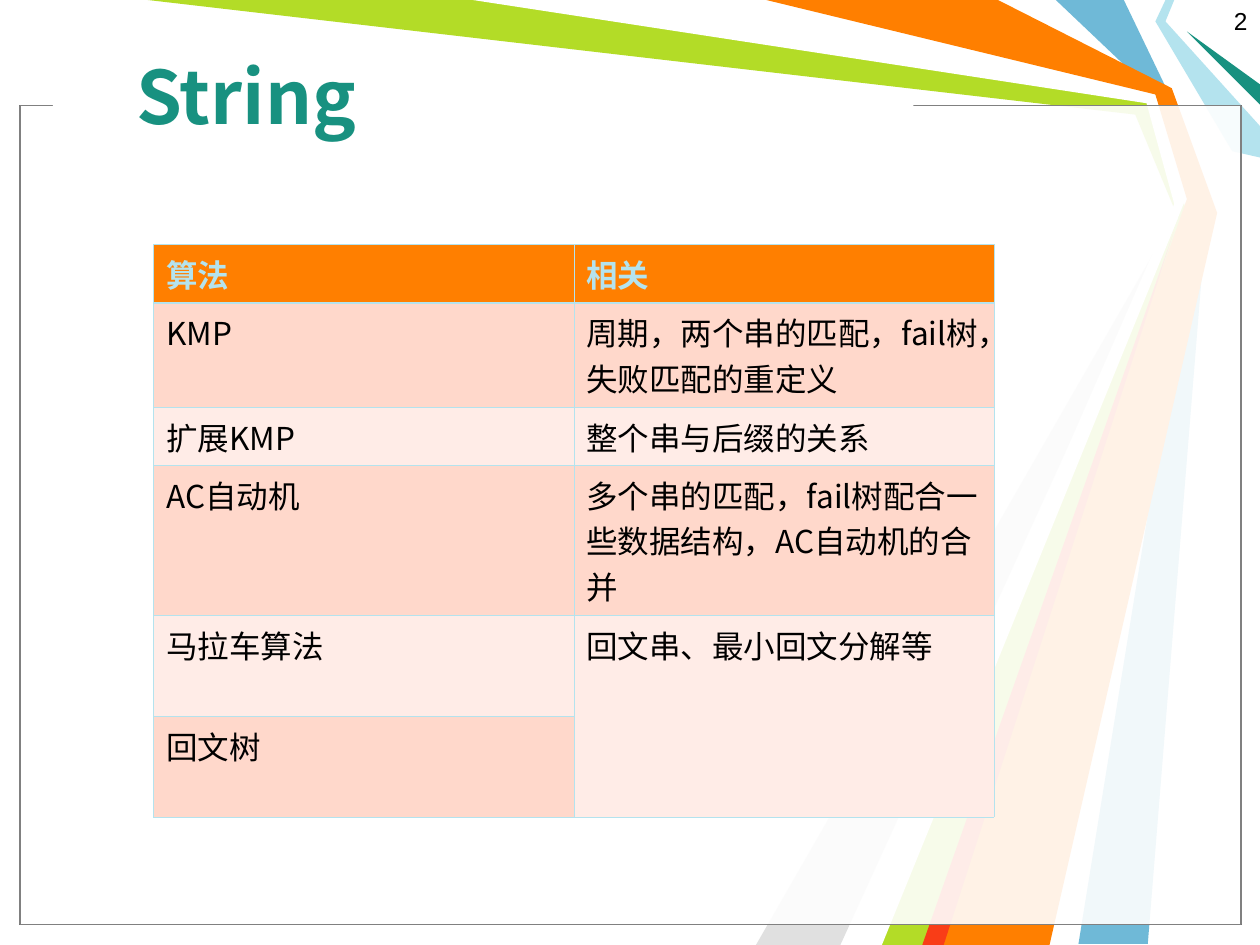
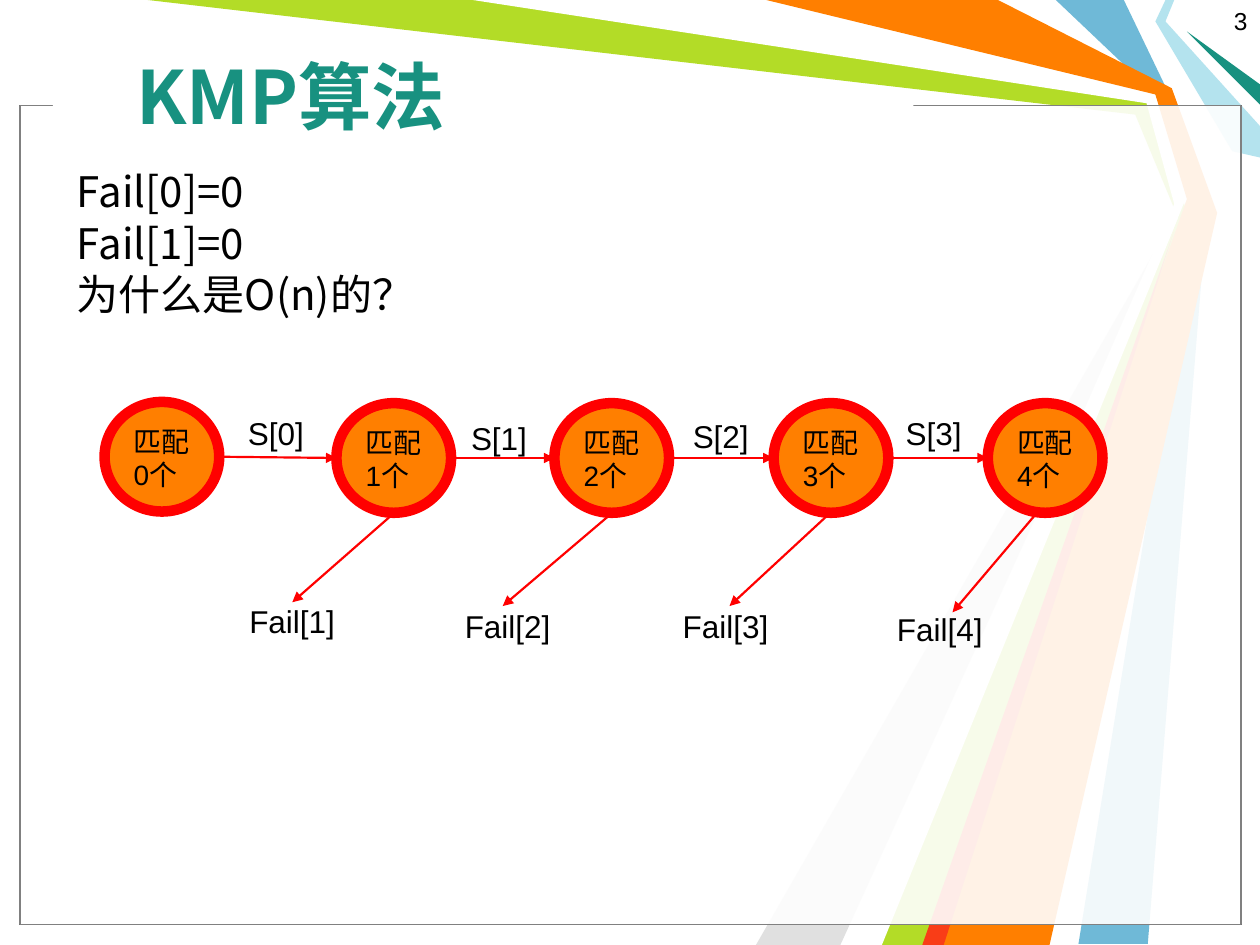
from collections import namedtuple

import pptx
import pptx.dml.color
import pptx.enum.shapes
import pptx.enum.text
import pptx.oxml
import pptx.oxml.ns
import pptx.util

RGBColor = pptx.dml.color.RGBColor
Anchor = pptx.enum.text.MSO_ANCHOR
Align = pptx.enum.text.PP_ALIGN
Shape = pptx.enum.shapes.MSO_SHAPE
Box = namedtuple("Box", "left top width height")

BLACK = RGBColor(0x00, 0x00, 0x00)
WHITE = RGBColor(0xFF, 0xFF, 0xFF)
GREY = RGBColor(0x80, 0x80, 0x80)
SILVER = RGBColor(0xE0, 0xE0, 0xE0)
BLUE = RGBColor(0x6F, 0xB9, 0xD7)
ICE = RGBColor(0xB4, 0xE3, 0xEE)
LIME = RGBColor(0xB3, 0xDC, 0x27)
TEAL = RGBColor(0x18, 0x91, 0x80)
ORANGE = RGBColor(0xFF, 0x7F, 0x00)
SCARLET = RGBColor(0xF9, 0x3D, 0x17)
RED = RGBColor(0xFF, 0x00, 0x00)
ROW_BANDS = RGBColor(0xFF, 0xEC, 0xE7), RGBColor(0xFF, 0xD8, 0xCB)

SANS = "Noto Sans CJK SC"
ARIAL = "Arial"

# The slide is a grid of 100 columns by 75 rows of square cells.
COLUMNS, ROWS = 100, 75
CELL = pptx.util.Inches(0.1)

PAGE = Box(0, 0, COLUMNS, ROWS)
TITLE = Box(9.8, 1.3, 74, 12.5)
BODY = Box(5.1, 13.1, 92.1, 54.2)
NUMBER = Box(76.7, 0, 23.3, 5.2)
FRAME = Box(1.6, 8.4, 96.9, 65)
TITLE_GAP = Box(4.2, 7.4, 68.3, 1.7)
TABLE = Box(12.2, 19.4, 66.7, 45.4)
CHAIN = Box(8.3, 31.9, 79.2, 20)

RIBBONS = [
    (BLUE, [(89.2, 0), (92.9, 7.7), (95.8, 16.7), (91.1, 74.9), (85.6, 74.9),
            (95, 16.7), (91.7, 7.5), (83.8, 0)]),
    (LIME, [(11.7, 0), (38.3, 0), (91.4, 7.8), (94.2, 16.9), (74.2, 75),
            (69.2, 75), (93.5, 17.3), (90.1, 9.1)]),
    (SILVER, [(66.7, 75), (92.7, 18.1), (60, 75)]),
    (WHITE, [(37.5, 0), (91, 8.2), (93.2, 16.2), (67.5, 75), (70, 75),
             (94.1, 15.8), (91.7, 7.5), (60, 0)]),
    (ICE, [(92.5, 0), (91.7, 1.7), (97.8, 12), (100, 12.5), (100, 10),
           (92.5, 1.7), (93.2, 0)]),
    (TEAL, [(100, 8.3), (94.2, 2.5), (100, 6.7)]),
    (ORANGE, [(60.8, 0), (79.2, 0), (93, 7), (96.6, 16.9), (83.3, 75),
              (73.3, 75), (94.2, 15.8), (91.7, 7.5)]),
    (SCARLET, [(73.2, 75), (93.2, 18.3), (74.9, 75)]),
]

ALGORITHMS = [
    ("算法", "相关"),
    ("KMP", "周期，两个串的匹配，fail树，失败匹配的重定义"),
    ("扩展KMP", "整个串与后缀的关系"),
    ("AC自动机", "多个串的匹配，fail树配合一些数据结构，AC自动机的合并"),
    ("马拉车算法", "回文串、最小回文分解等"),
    ("回文树", ""),
]
ROW_HEIGHTS = [4.6, 8.3, 4.6, 11.9, 8, 8]

# Places inside the chain, in cells from its top left corner.
STATE_SIZE = (9.1, 8.7)
STATES = [(0, 0), (18.4, 0.1), (35.7, 0.1), (53.1, 0.1), (70.1, 0.1)]
STEP_LABELS = [(10.4, 0.5), (28.1, 0.9), (45.7, 0.7), (62.6, 0.5)]
FAIL_LABELS = [(10.5, 15.4), (27.6, 15.8), (44.9, 15.8), (61.9, 16)]
FAIL_TIPS = [(14.9, 15.9), (31.6, 16.2), (49.6, 16.2), (67.3, 16.7)]
FAIL_STARTS = [23, 40.3, 57.6, 74]


def cells(*counts):
    return [pptx.util.Emu(round(count * CELL)) for count in counts]


def add_xml(parent, tag, **attributes):
    child = pptx.oxml.parse_xml(f"<a:{tag} {pptx.oxml.ns.nsdecls('a')}/>")
    for name, value in attributes.items():
        child.set(name, str(value))
    parent.append(child)
    return child


def write(frame, text, size=18, font=ARIAL, color=BLACK, bold=False,
          align=Align.LEFT, anchor=Anchor.TOP, wrap=True,
          line_spacing=None, space_before=0, hanging=0):
    """Fill a text frame, one paragraph for each line of text."""
    frame.word_wrap = wrap
    frame.auto_size = pptx.enum.text.MSO_AUTO_SIZE.NONE
    frame.vertical_anchor = anchor
    for index, line in enumerate(text.split("\n")):
        para = frame.add_paragraph() if index else frame.paragraphs[0]
        if hanging:
            indent, = cells(hanging)
            properties = para._p.get_or_add_pPr()
            properties.set("marL", str(indent))
            properties.set("indent", str(-indent))
            add_xml(properties, "buNone")
        para.alignment = align
        para.line_spacing = line_spacing
        para.space_before = pptx.util.Pt(space_before if index else 0)
        span = para.add_run()
        span.text = line
        span.font.size = pptx.util.Pt(size)
        span.font.bold = bold
        span.font.color.rgb = color
        span.font.name = font
        add_xml(span.font._element, "ea", typeface=SANS)


def paint(shape, fill, line=None, width=0.75, opacity=100):
    shape.shadow.inherit = False
    shape.fill.solid()
    shape.fill.fore_color.rgb = fill
    if opacity < 100:
        color = shape.element.spPr.find(".//" + pptx.oxml.ns.qn("a:srgbClr"))
        add_xml(color, "alpha", val=opacity * 1000)
    if line is None:
        shape.line.fill.background()
    else:
        shape.line.color.rgb = line
        shape.line.width = pptx.util.Pt(width)
    return shape


def add_label(page, box, text, **style):
    label = page.shapes.add_textbox(*cells(*box))
    write(label.text_frame, text, **style)


def add_arrow(page, start, end):
    arrow = page.shapes.add_connector(
        pptx.enum.shapes.MSO_CONNECTOR.STRAIGHT, *cells(*start, *end))
    arrow.line.color.rgb = RED
    arrow.line.width = pptx.util.Pt(1.25)
    add_xml(arrow.line._get_or_add_ln(), "tailEnd", type="triangle")
    add_xml(arrow.element.spPr, "effectLst")


def draw_backdrop(page, box):
    """Draw the ribbons and the frame; return their shapes from back to front."""
    parts = []
    for color, outline in RIBBONS:
        points = [cells(box.left + x, box.top + y) for x, y in outline]
        builder = page.shapes.build_freeform(*points[0])
        builder.add_line_segments(points[1:], close=True)
        parts.append(paint(builder.convert_to_shape(), color))
    for line in (BLACK, GREY):
        frame = page.shapes.add_shape(Shape.RECTANGLE, *cells(*FRAME))
        parts.append(paint(frame, WHITE, line, opacity=69))
    gap = page.shapes.add_shape(Shape.RECTANGLE, *cells(*TITLE_GAP))
    return parts + [paint(gap, WHITE)]


def share_backdrop(deck, page):
    """Move the backdrop to the master, so that every slide shows it."""
    tree = deck.slide_master.element.cSld.spTree
    for number, part in enumerate(draw_backdrop(page, PAGE), start=100):
        part.element.xpath(".//p:cNvPr")[0].set("id", str(number))
        tree.append(part.element)


def place(shape, box):
    shape.left, shape.top, shape.width, shape.height = cells(*box)


def add_page(deck, layout, title, number):
    page = deck.slides.add_slide(deck.slide_layouts.get_by_name(layout))
    place(page.shapes.title, TITLE)
    write(page.shapes.title.text_frame, title, size=42, font=SANS,
          color=TEAL, bold=True, anchor=Anchor.MIDDLE)
    add_label(page, NUMBER, str(number), size=14, align=Align.RIGHT)
    return page


def set_borders(cell, top, bottom):
    properties = cell._tc.get_or_add_tcPr()
    fill = properties[0]
    for side, width in (("L", 0.45), ("R", 0.45), ("T", top), ("B", bottom)):
        line = add_xml(properties, "ln" + side, w=pptx.util.Pt(width))
        add_xml(add_xml(line, "solidFill"), "srgbClr", val=ICE)
    properties.append(fill)


def add_algorithm_table(page, box):
    table = page.shapes.add_table(
        len(ALGORITHMS), len(ALGORITHMS[0]), *cells(*box)).table
    for column in table.columns:
        column.width, = cells(box.width / len(table.columns))
    for index, (texts, height) in enumerate(zip(ALGORITHMS, ROW_HEIGHTS)):
        table.rows[index].height, = cells(height)
        header = index == 0
        for cell, text in zip(table.rows[index].cells, texts):
            cell.fill.solid()
            cell.fill.fore_color.rgb = ORANGE if header else ROW_BANDS[index % 2]
            set_borders(cell, top=1.47 if index == 1 else 0.45,
                        bottom=1.47 if header else 0.45)
            if text:
                write(cell.text_frame, text, font=SANS, bold=header,
                      color=ICE if header else BLACK)
    table.cell(4, 1).merge(table.cell(5, 1))


def add_state_chain(page, box):
    """Draw the matching states, the steps between them and their fail links."""
    def at(point):
        return box.left + point[0], box.top + point[1]

    width, height = STATE_SIZE
    for count, corner in enumerate(STATES):
        state = page.shapes.add_shape(Shape.OVAL, *cells(*at(corner), width, height))
        paint(state, ORANGE, RED, width=6)
        write(state.text_frame, f"匹配{count}个", size=16)

    for index, (here, there) in enumerate(zip(STATES, STATES[1:])):
        add_arrow(page, at((here[0] + width, here[1] + height / 2)),
                  at((there[0], there[1] + height / 2)))
        add_arrow(page, at((FAIL_STARTS[index], there[1] + height)),
                  at(FAIL_TIPS[index]))
        add_label(page, Box(*at(STEP_LABELS[index]), 6.4, 4),
                  f"S[{index}]", wrap=False)
        add_label(page, Box(*at(FAIL_LABELS[index]), 8.8, 4),
                  f"Fail[{index + 1}]", wrap=False)


def build_string_page(deck):
    page = add_page(deck, "Title Only", "String", 2)
    add_algorithm_table(page, TABLE)
    return page


def build_kmp_page(deck):
    page = add_page(deck, "Title and Content", "KMP算法", 3)
    body = page.placeholders[1]
    place(body, BODY)
    write(body.text_frame, "Fail[0]=0\nFail[1]=0\n为什么是O(n)的？", size=24,
          font=SANS, line_spacing=0.9, space_before=3.6, hanging=3.8)
    add_state_chain(page, CHAIN)


def main():
    deck = pptx.Presentation()
    deck.slide_width, deck.slide_height = cells(COLUMNS, ROWS)
    share_backdrop(deck, build_string_page(deck))
    build_kmp_page(deck)
    deck.save("out.pptx")


if __name__ == "__main__":
    main()
